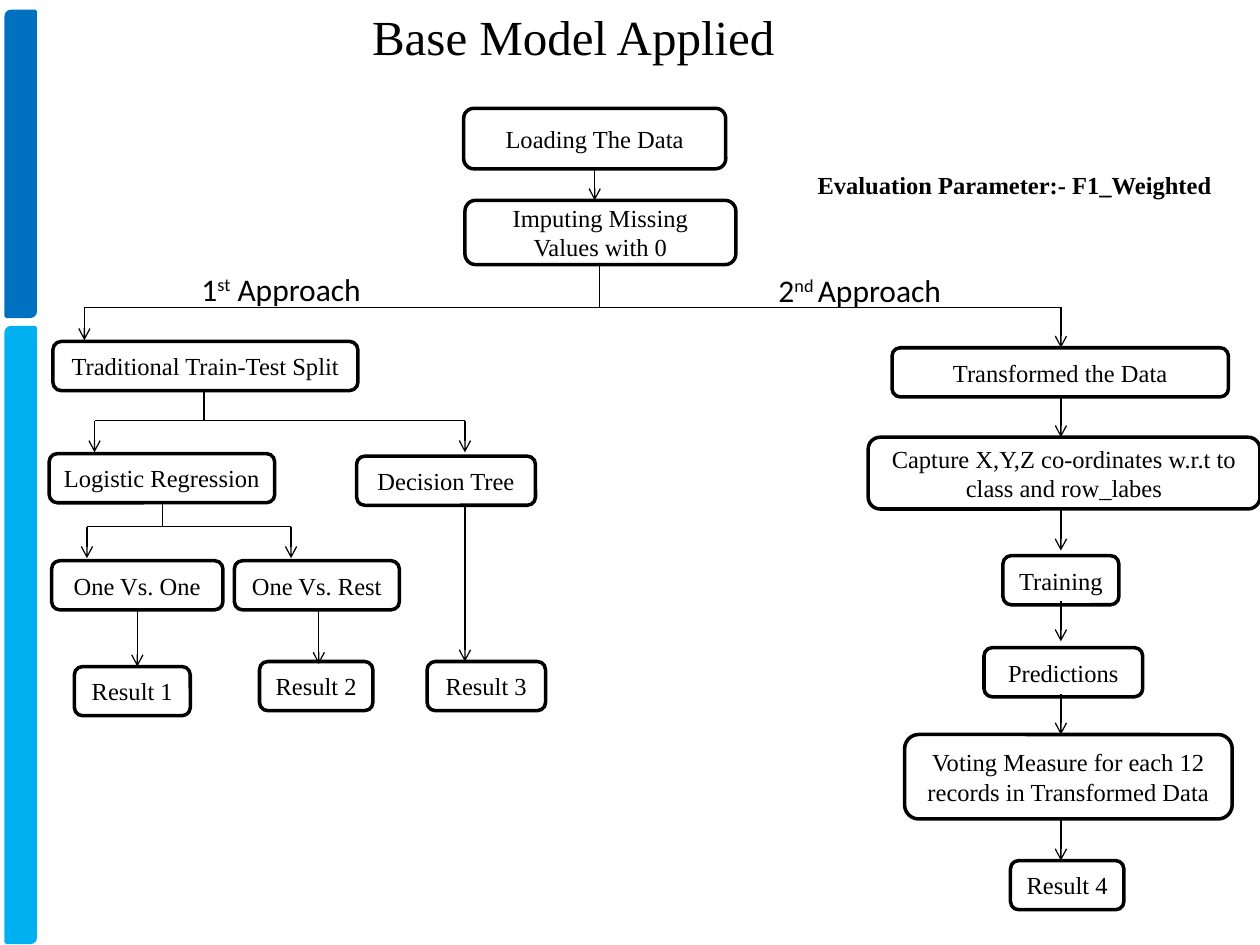
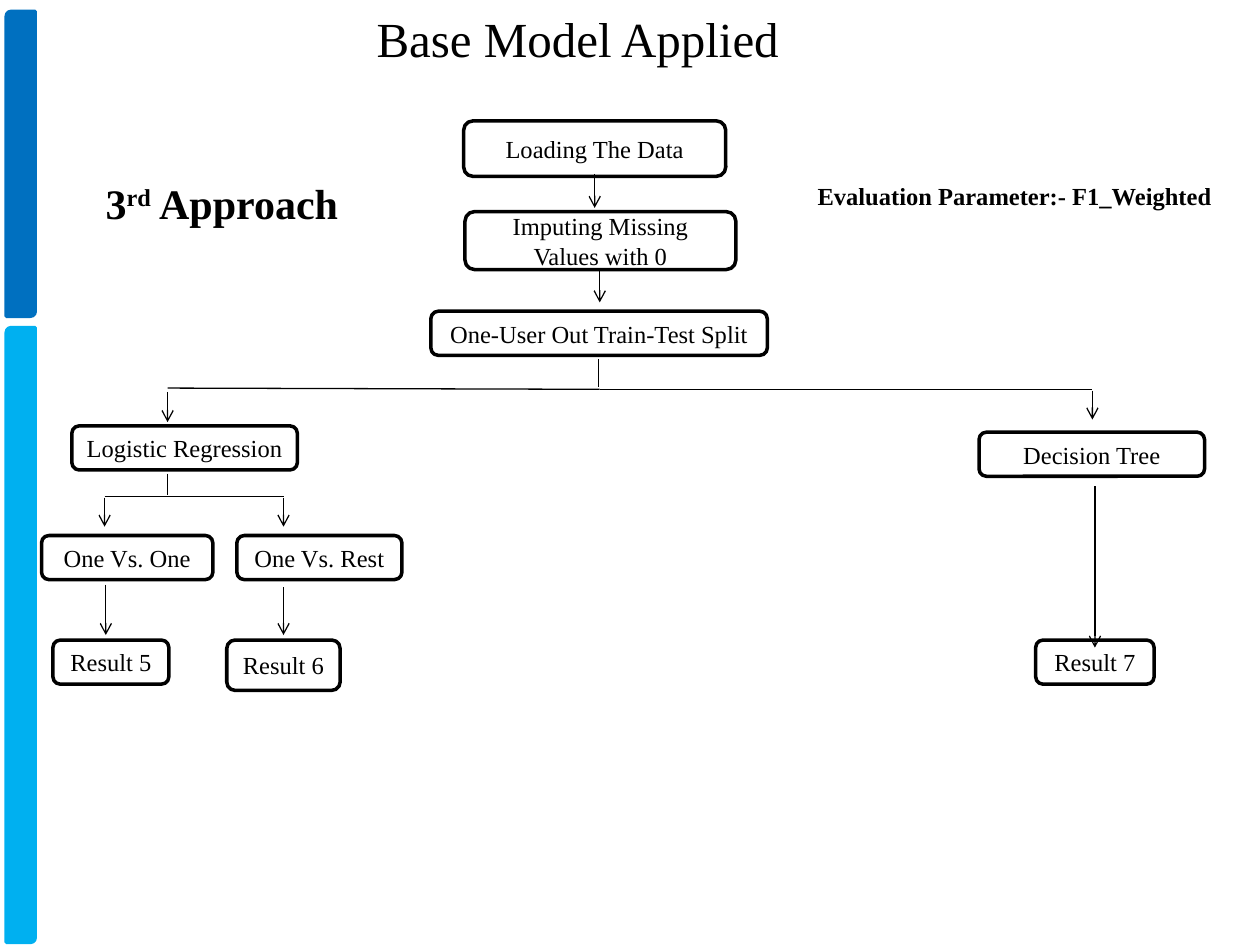
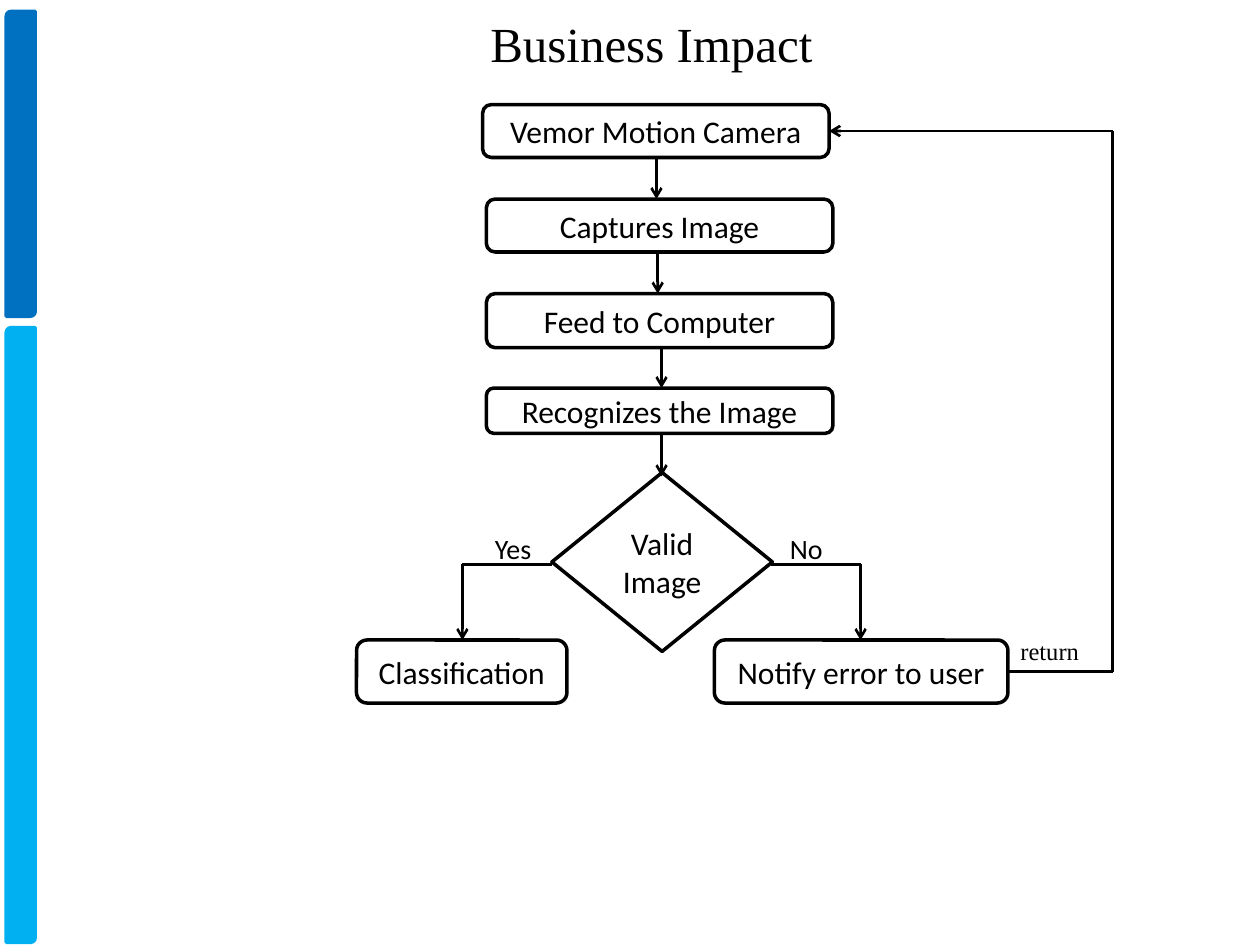
from lxml.etree import SubElement
from pptx import Presentation
from pptx.dml.color import RGBColor
from pptx.enum.shapes import MSO_CONNECTOR, MSO_SHAPE as SHAPE
from pptx.enum.text import MSO_ANCHOR as ANCHOR, MSO_AUTO_SIZE as FIT, PP_ALIGN as ALIGN
from pptx.oxml.ns import qn
from pptx.util import Inches, Pt

COLORS = {"ink": "000000", "paper": "FFFFFF", "blue": "0070C0", "sky": "00B0F0"}
SERIF = "Times New Roman"
SANS = "Calibri"
EVALUATION = "Evaluation Parameter:- F1_Weighted"


def color(name):
    return RGBColor.from_string(COLORS[name])


def inches(values):
    return [Inches(value) for value in values]


def style_runs(para, size, font, bold=False):
    for span in para.runs:
        span.font.size = Pt(size)
        span.font.name = font
        span.font.bold = bold
        span.font.color.rgb = color("ink")


def add_block(page, kind, at, fill, outline):
    block = page.shapes.add_shape(kind, *inches(at))
    block.shadow.inherit = False
    block.fill.solid()
    block.fill.fore_color.rgb = color(fill)
    block.line.color.rgb = color(outline)
    block.line.width = Pt(2)
    return block


def add_box(page, text, at, size=14, font=SERIF, kind=SHAPE.ROUNDED_RECTANGLE):
    box = add_block(page, kind, at, "paper", "ink")
    frame = box.text_frame
    frame.word_wrap = True
    frame.vertical_anchor = ANCHOR.MIDDLE
    frame.text = text
    para = frame.paragraphs[0]
    para.alignment = ALIGN.CENTER
    style_runs(para, size, font)


def add_boxes(page, boxes, **style):
    for text, *at in boxes:
        add_box(page, text, at, **style)


def add_label(page, text, at, size, font=SERIF, bold=False):
    box = page.shapes.add_textbox(*inches(at))
    box.text_frame.word_wrap = True
    para = box.text_frame.paragraphs[0]
    for index, piece in enumerate(text.split("^")):
        span = para.add_run()
        span.text = piece
        if index % 2:
            span._r.get_or_add_rPr().set("baseline", "30000")
    style_runs(para, size, font, bold)


def add_line(page, start, end, width, arrow):
    line = page.shapes.add_connector(MSO_CONNECTOR.STRAIGHT, *inches((*start, *end)))
    line.line.color.rgb = color("ink")
    line.line.width = Pt(width)
    if arrow:
        SubElement(line.line._get_or_add_ln(), qn("a:tailEnd"), type="arrow")
    SubElement(line.element.spPr, qn("a:effectLst"))


def add_route(page, *points, width=0.75, arrow=True):
    last = len(points) - 2
    for index, (start, end) in enumerate(zip(points, points[1:])):
        add_line(page, start, end, width, arrow and index == last)


def add_drops(page, drops, width=0.75):
    for x, top, bottom in drops:
        add_route(page, (x, top), (x, bottom), width=width)


def add_page(deck, layout, title, at):
    page = deck.slides.add_slide(layout)
    holder = page.shapes.title
    holder.left, holder.top, holder.width, holder.height = inches(at)
    frame = holder.text_frame
    frame.text = title
    frame.auto_size = FIT.NONE
    frame.vertical_anchor = ANCHOR.TOP
    para = frame.paragraphs[0]
    para.alignment = ALIGN.CENTER
    style_runs(para, 28, SERIF)
    return page


def add_side_bands(page, layout):
    for holder in list(layout.placeholders):
        if holder.placeholder_format.idx > 0:
            holder.element.getparent().remove(holder.element)
    for name, top, height in (("blue", 0.09, 2.42), ("sky", 2.6, 4.88)):
        band = add_block(page, SHAPE.ROUND_2_DIAG_RECTANGLE, (0.05, top, 0.23, height), name, name)
        layout.shapes.element.append(band.element)


def fill_two_approaches(page):
    add_boxes(page, [
        ("Loading The Data", 3.68, 0.86, 2.08, 0.48),
        ("Imputing Missing Values with 0", 3.69, 1.59, 2.15, 0.51),
        ("Capture X,Y,Z co-ordinates w.r.t to class and row_labes", 6.89, 3.47, 3.11, 0.57),
        ("Voting Measure for each 12 records in Transformed Data", 7.18, 5.83, 2.6, 0.67),
    ])
    for text, left, top, width in (
        ("Traditional Train-Test Split", 0.42, 2.71, 2.42),
        ("Logistic Regression", 0.39, 3.6, 1.79),
        ("Decision Tree", 2.83, 3.62, 1.42),
        ("One Vs. One", 0.41, 4.45, 1.36),
        ("One Vs. Rest", 1.86, 4.45, 1.31),
        ("Result 1", 0.59, 5.29, 0.92),
        ("Result 2", 2.06, 5.25, 0.9),
        ("Result 3", 3.39, 5.25, 0.94),
        ("Transformed the Data", 7.08, 2.76, 2.67),
        ("Training", 7.96, 4.41, 0.92),
        ("Predictions", 7.81, 5.14, 1.26),
        ("Result 4", 8.02, 6.83, 0.9),
    ):
        add_box(page, text, (left, top, width, 0.39))

    for x, top, fork, tips in (
        (4.76, 2.09, 2.44, ((0.67, 2.7), (8.42, 2.76))),
        (1.62, 3.09, 3.34, ((0.75, 3.59), (3.69, 3.59))),
        (1.29, 3.99, 4.18, ((0.69, 4.43), (2.31, 4.43))),
    ):
        add_route(page, (x, top), (x, fork), arrow=False)
        for tip_x, tip_y in tips:
            add_route(page, (x, fork), (tip_x, fork), (tip_x, tip_y))

    add_drops(page, [(4.72, 1.34, 1.59), (1.09, 4.83, 5.29), (2.53, 4.83, 5.27), (3.69, 4.01, 5.25)])
    add_drops(page, [(8.42, top, top + 0.32) for top in (3.15, 4.05, 4.77, 5.51, 6.51)])

    add_label(page, "1^st^ Approach", (1.5, 2.09, 1.62, 0.4), 18, SANS)
    add_label(page, "2^nd ^Approach", (6.08, 2.1, 1.62, 0.4), 18, SANS)
    add_label(page, EVALUATION, (6.39, 1.3, 3.63, 0.34), 14, bold=True)


def fill_third_approach(page):
    add_boxes(page, [
        ("Loading The Data", 3.68, 0.96, 2.08, 0.44),
        ("Imputing Missing Values with 0", 3.69, 1.68, 2.15, 0.46),
        ("Result 6", 1.8, 5.08, 0.9, 0.4),
    ])
    for text, left, top, width in (
        ("One-User Out Train-Test Split", 3.42, 2.47, 2.67),
        ("Logistic Regression", 0.57, 3.38, 1.79),
        ("Decision Tree", 7.77, 3.43, 1.79),
        ("One Vs. One", 0.33, 4.25, 1.36),
        ("One Vs. Rest", 1.88, 4.25, 1.31),
        ("Result 5", 0.42, 5.08, 0.92),
        ("Result 7", 8.22, 5.08, 0.94),
    ):
        add_box(page, text, (left, top, width, 0.35))

    for start, end in (
        ((4.75, 2.85), (4.75, 3.07)),
        ((1.33, 3.08), (4.76, 3.09)),
        ((4.76, 3.09), (8.67, 3.09)),
        ((1.33, 3.76), (1.33, 3.93)),
        ((0.83, 3.94), (2.25, 3.94)),
    ):
        add_route(page, start, end, arrow=False)
    add_drops(page, [
        (4.72, 1.38, 1.65), (4.76, 2.13, 2.4),
        (1.33, 3.11, 3.35), (8.67, 3.1, 3.33),
        (0.83, 3.95, 4.18), (2.25, 3.95, 4.18),
        (0.84, 4.64, 5.04), (2.25, 4.66, 5.04), (8.69, 3.86, 5.14),
    ])

    add_label(page, "3^rd^ Approach", (0.74, 1.36, 2.08, 0.46), 24, bold=True)
    add_label(page, EVALUATION, (6.39, 1.39, 3.63, 0.31), 14, bold=True)


def fill_business_impact(page):
    add_boxes(page, [
        ("Vemor Motion Camera", 3.83, 0.83, 2.75, 0.42),
        ("Captures Image", 3.86, 1.58, 2.75, 0.42),
        ("Feed to Computer", 3.86, 2.33, 2.75, 0.43),
        ("Recognizes the Image", 3.86, 3.08, 2.75, 0.36),
        ("Classification", 2.83, 5.08, 1.67, 0.5),
        ("Notify error to user", 5.67, 5.08, 2.33, 0.5),
    ], size=18, font=SANS)
    add_box(page, "Valid Image", (4.38, 3.75, 1.75, 1.42), 18, SANS, SHAPE.DIAMOND)

    add_drops(page, [(5.21, 1.25, 1.58), (5.22, 2, 2.33), (5.25, 2.75, 3.08), (5.25, 3.45, 3.78)], 1.5)
    for start, corner in ((4.38, 3.67), (6.12, 6.83)):
        add_route(page, (start, 4.48), (corner, 4.48), (corner, 5.08), width=1.5)
    add_route(page, (8, 5.33), (8.83, 5.33), (8.83, 1.04), (6.58, 1.04), width=1.5)

    add_label(page, "Yes", (3.83, 4.17, 0.5, 0.37), 16, SANS)
    add_label(page, "No", (6.17, 4.17, 0.5, 0.37), 16, SANS)
    add_label(page, "return", (8, 5, 0.75, 0.34), 14)


def main():
    deck = Presentation()
    deck.slide_width, deck.slide_height = Inches(10), Inches(7.5)
    layout = deck.slide_layouts[5]
    pages = (
        ("Base Model Applied", (1.17, 0, 6.76, 0.57), fill_two_approaches),
        ("Base Model Applied", (1.17, 0.02, 6.83, 0.57), fill_third_approach),
        ("Business Impact", (0.5, 0.06, 9.34, 0.57), fill_business_impact),
    )
    for index, (title, at, fill_page) in enumerate(pages):
        page = add_page(deck, layout, title, at)
        if index == 0:
            add_side_bands(page, layout)
        fill_page(page)
    deck.save("out.pptx")


main()
